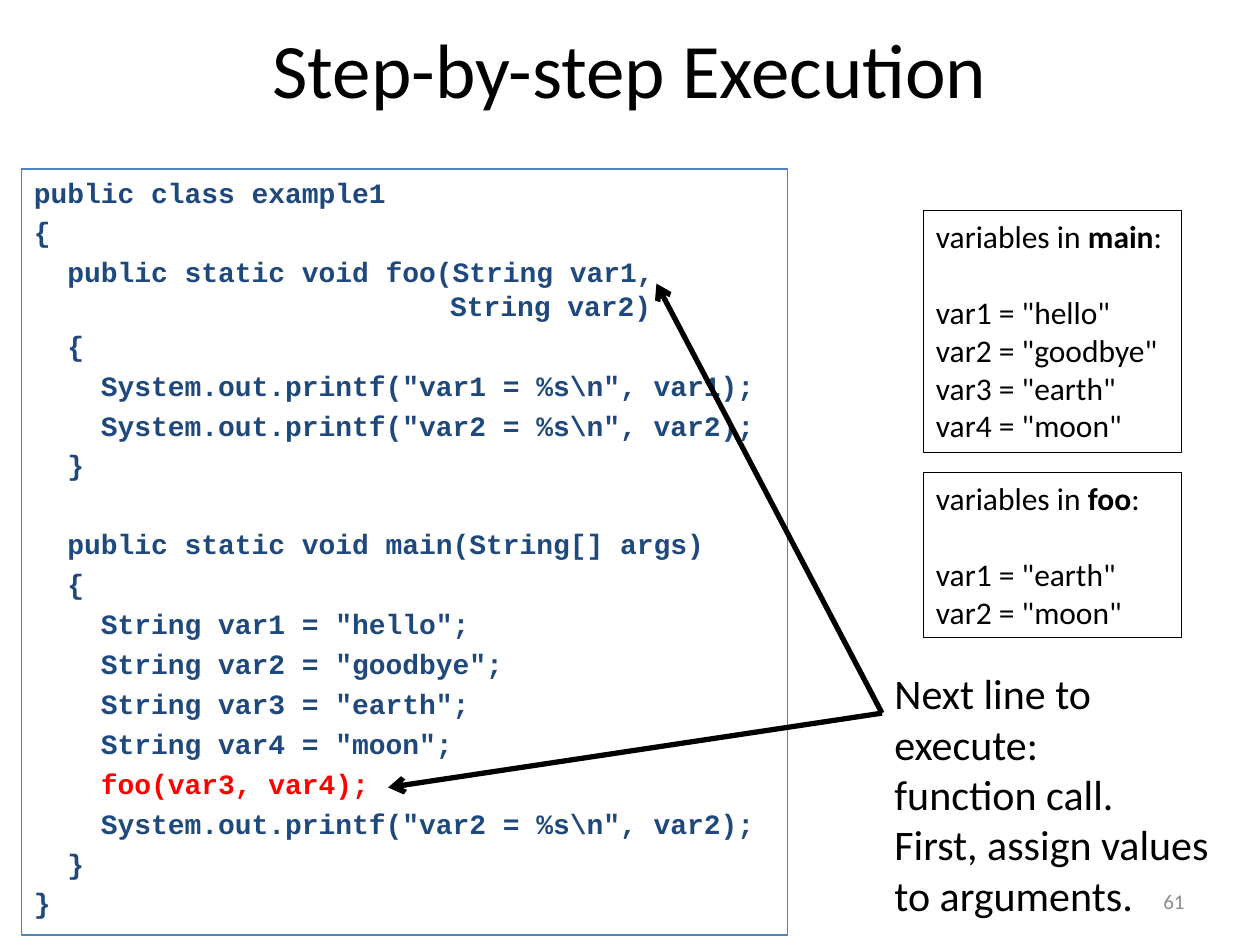
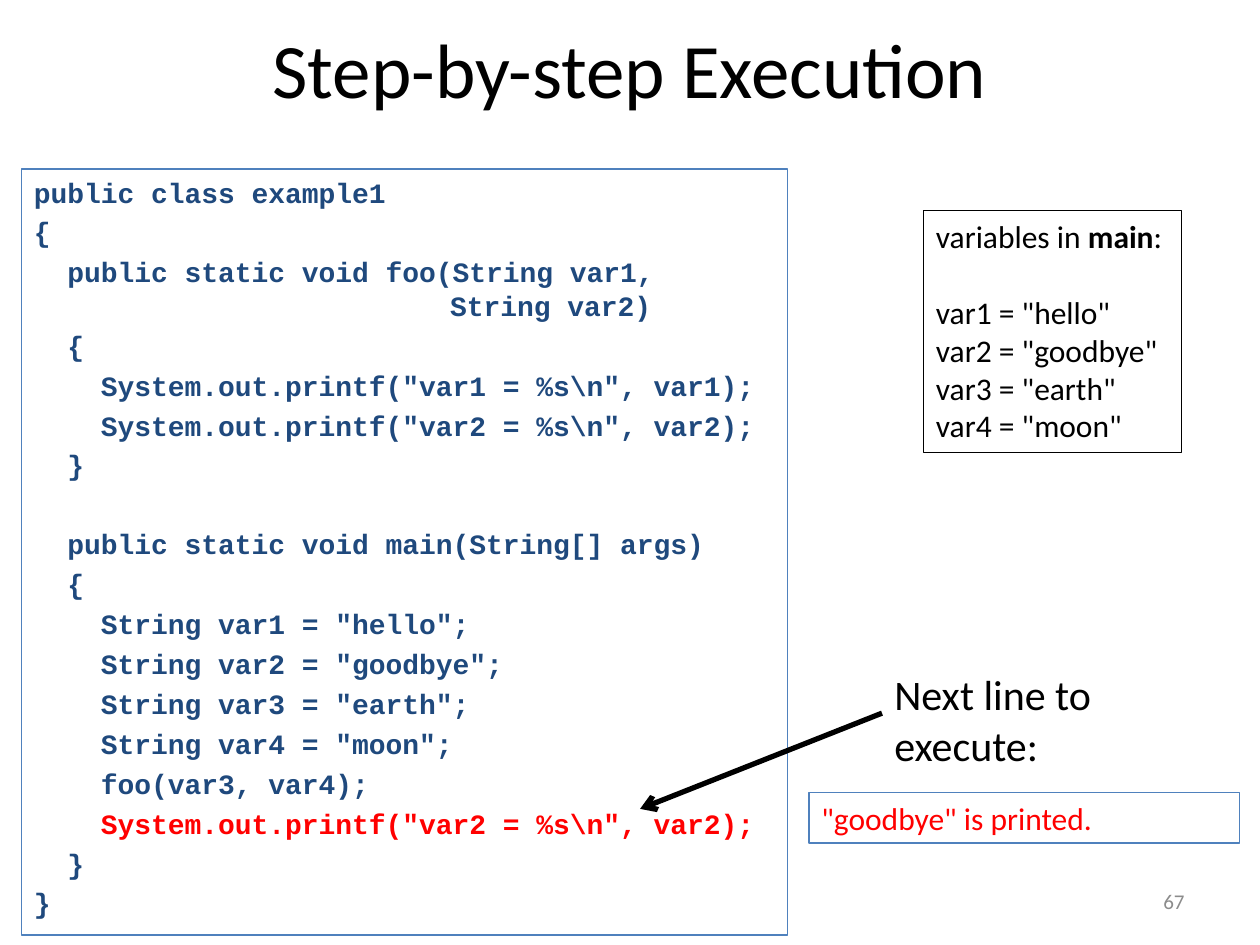
from dataclasses import dataclass
from typing import Optional, Union

from lxml import etree
from pptx import Presentation
from pptx.dml.color import RGBColor
from pptx.enum import shapes, text
from pptx.oxml import ns
from pptx.util import Emu, Pt

PX = 9144
COLORS = {"black": "000000", "gray": "8C8C8C", "code": "1F497D", "red": "FF0000", "frame": "4F81BD"}
BOLD_MARK = "**"
HANGING = 38
CODE_GAP = 3.6
BLANK_LINE = {"code": 26, "variables": 22}
CODE = r"""public class example1
{
  public static void foo(String var1,
                      String var2)
  {
    System.out.printf("var1 = %s\n", var1);
    System.out.printf("var2 = %s\n", var2);
  }

  public static void main(String[] args)
  {
    String var1 = "hello";
    String var2 = "goodbye";
    String var3 = "earth";
    String var4 = "moon";
    foo(var3, var4);
    System.out.printf("var2 = %s\n", var2);
  }
}""".split("\n")
CONTINUATION = 3
FOO_CALL, LAST_PRINT = 15, 16


@dataclass(frozen=True)
class Line:
    """One paragraph; every second part between bold marks is bold."""
    text: str
    before: float = 0
    color: Optional[str] = None
    margin: int = 0


@dataclass(frozen=True)
class Box:
    """A text area, framed when it has a border colour."""
    left: int
    top: int
    width: int
    height: int
    lines: list[Line]
    size: int = 18
    color: str = "black"
    font: str = "Calibri"
    bold: bool = False
    border: Optional[str] = None
    align: text.PP_ALIGN = text.PP_ALIGN.LEFT
    anchor: text.MSO_ANCHOR = text.MSO_ANCHOR.TOP
    bottom: int = 5


@dataclass(frozen=True)
class Arrow:
    """An arrow from the note to a place in the code."""
    x: int
    y: int


Item = Union[Box, Arrow]
NOTE_TIP = (700, 566)


def rgb(name: str) -> RGBColor:
    """Look up a named colour."""
    return RGBColor.from_string(COLORS[name])


def px(*lengths: int) -> list[Emu]:
    """Turn px into EMU."""
    return [Emu(n * PX) for n in lengths]


def add_line(p, line: Line, box: Box) -> None:
    """Write one paragraph of a box."""
    p.alignment = box.align
    p.space_before = Pt(line.before)
    if line.margin:
        p._p.get_or_add_pPr().set("marL", str(line.margin * PX))
    for i, part in enumerate(line.text.split(BOLD_MARK)):
        r = p.add_run()
        r.text = part
        style = {"name": box.font, "size": Pt(box.size), "bold": box.bold or i % 2 == 1}
        for key, value in style.items():
            setattr(r.font, key, value)
        r.font.color.rgb = rgb(line.color or box.color)


def add_box(s, box: Box) -> None:
    """Draw a text area with its lines."""
    area = px(box.left, box.top, box.width, box.height)
    if box.border:
        sp = s.shapes.add_shape(shapes.MSO_SHAPE.RECTANGLE, *area)
        sp.shadow.inherit = False
        sp.fill.background()
        sp.line.color.rgb = rgb(box.border)
        sp.line.width = Pt(0.75)
    else:
        sp = s.shapes.add_textbox(*area)
    tf = sp.text_frame
    left, top, bottom = px(10, 5, box.bottom)
    frame = {"word_wrap": True, "vertical_anchor": box.anchor, "margin_left": left,
             "margin_right": left, "margin_top": top, "margin_bottom": bottom}
    for key, value in frame.items():
        setattr(tf, key, value)
    for i, line in enumerate(box.lines):
        add_line(tf.add_paragraph() if i else tf.paragraphs[0], line, box)


def add_arrow(s, arrow: Arrow) -> None:
    """Draw an arrow with an open head."""
    cxn = s.shapes.add_connector(shapes.MSO_CONNECTOR.STRAIGHT, *px(*NOTE_TIP, arrow.x, arrow.y))
    cxn.line.color.rgb = rgb("black")
    cxn.line.width = Pt(3)
    etree.SubElement(cxn.line._get_or_add_ln(), ns.qn("a:tailEnd"), type="arrow")
    etree.SubElement(cxn._element.spPr, ns.qn("a:effectLst"))


def code_box(current: int) -> Box:
    """Build the program listing with the current line in red."""
    lines = []
    for i, row in enumerate(CODE):
        if not row:
            continue
        gap = 0 if i in (0, CONTINUATION) else CODE_GAP
        if i and not CODE[i - 1]:
            gap = BLANK_LINE["code"]
        lines.append(Line(row, gap, "red" if i == current else None,
                          HANGING if i == CONTINUATION else 0))
    return Box(17, 134, 608, 608, lines, 16, "code", "Courier New", True, "frame", bottom=0)


def variables_box(function: str, top: int, height: int, **values: str) -> Box:
    """Build the list of variables of one function."""
    lines = [Line(f"variables in {BOLD_MARK}{function}{BOLD_MARK}:")]
    for i, (name, value) in enumerate(values.items()):
        lines.append(Line(f'{name} = "{value}"', 0 if i else BLANK_LINE["variables"]))
    return Box(733, top, 205, height, lines, border="black")


def note_box(top: int, width: int, height: int, *more: str) -> Box:
    """Build the note on the next line to execute."""
    rows = ("Next line to", "execute:", *more)
    return Box(700, top, width, height, [Line(row) for row in rows], 24)


def add_slide(prs, number: int, items: list[Item]) -> None:
    """Add a slide with title, number and items."""
    s = prs.slides.add_slide(prs.slide_layouts[6])
    middle = text.MSO_ANCHOR.MIDDLE
    add_box(s, Box(50, 8, 900, 92, [Line("Step-by-step Execution")], 44,
                   align=text.PP_ALIGN.CENTER, anchor=middle))
    add_box(s, Box(717, 695, 233, 40, [Line(str(number))], 12, "gray",
                   align=text.PP_ALIGN.RIGHT, anchor=middle))
    for item in items:
        if isinstance(item, Box):
            add_box(s, item)
        else:
            add_arrow(s, item)


def main() -> None:
    """Build the presentation."""
    prs = Presentation()
    prs.slide_width, prs.slide_height = px(1000, 750)
    main_variables = variables_box("main", 167, 192, var1="hello", var2="goodbye",
                                   var3="earth", var4="moon")
    add_slide(prs, 61, [
        note_box(525, 275, 212, "function call.", "First, assign values to arguments."),
        main_variables,
        code_box(FOO_CALL),
        Arrow(308, 625),
        variables_box("foo", 375, 131, var1="earth", var2="moon"),
        Arrow(521, 225),
    ])
    add_slide(prs, 67, [
        note_box(526, 283, 91),
        main_variables,
        code_box(LAST_PRINT),
        Arrow(508, 642),
        Box(642, 629, 342, 40, [Line('"goodbye" is printed.')], color="red", border="frame"),
    ])
    prs.save("out.pptx")


if __name__ == "__main__":
    main()
